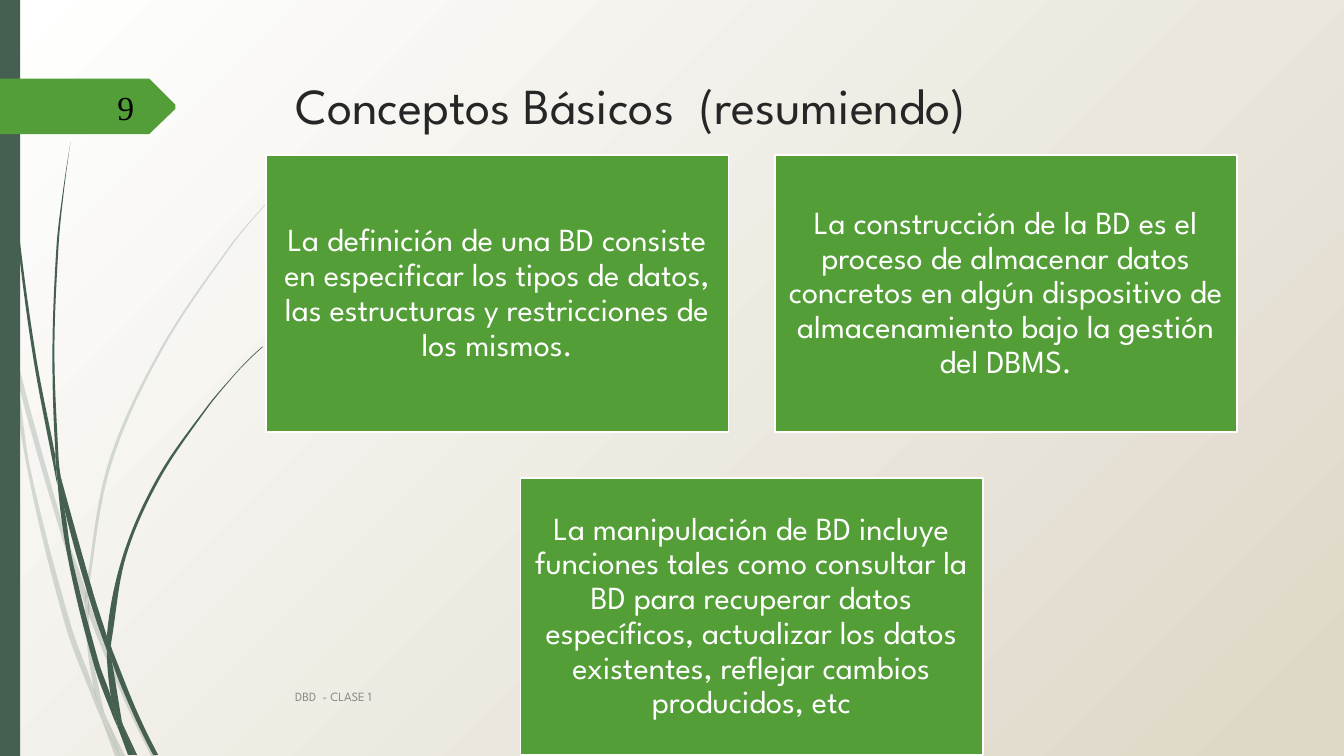
from lxml.etree import SubElement
from pptx import Presentation
from pptx.dml.color import RGBColor
from pptx.enum.shapes import MSO_SHAPE
from pptx.enum.text import MSO_ANCHOR, PP_ALIGN
from pptx.oxml.ns import qn
from pptx.util import Inches, Pt

COLORS = {
    "white": "FFFFFF", "sand": "DDD7C7", "pine": "455F51", "arrow": "549E39",
    "card": "539E36", "title": "262626", "foot": "888888", "black": "000000",
}
SANS = "League Spartan"
SERIF = "Times New Roman"

PALE = [
    "0.11,3.5 0.09,3.22 0,2.82 0,2.99 0.1,3.44",
    "0.58,5.22 0.84,5.99 0.85,5.86 0.62,5.2 0.14,3.45 0.17,3.76",
    "0.92,6.07 0.88,5.96 0.88,6.1 1.23,6.94 1.5,7.5 1.55,7.5 1.27,6.92",
    "1.19,7.5 1.24,7.5 1.05,7.11",
    "0.93,6.83 0.7,6.19 0.31,4.69 0.17,3.76 0.11,3.5 0.28,4.7 0.65,6.21 0.92,6.93 1.01,7.14 0.99,7.07",
    "0.84,5.99 0.87,6.46 0.93,6.83 0.96,6.92 1.05,7.11 1.03,7.06 0.91,6.46 0.88,6.1 0.88,6.08",
    "0.88,5.84 1.1,4.62 1.6,3.49 2.29,2.45 2.68,1.98 2.9,1.75 3.12,1.54 3.12,1.53 2.89,1.75 "
    "2.68,1.97 2.28,2.44 1.58,3.48 1.07,4.61 0.85,5.84 0.85,5.86 0.88,5.96",
    "1.01,7.14 1.14,7.5 1.19,7.5",
    "0.88,6.08 0.88,6.1 0.88,5.96 0.85,5.86 0.84,5.99",
    "0.96,6.92 0.93,6.83 0.99,7.07 1.01,7.14 1.19,7.5 1.05,7.11",
]
DARK = [
    "0.07,1.1 0.17,2.33 0.33,3.55 0.56,4.77 0.57,4.81 0.55,4.57 0.55,4.53 0.36,3.55 0.19,2.32 "
    "0.08,1.09 0.05,0.48 0.04,0 0.03,0 0.04,0.48",
    "0.88,5.92 1.06,6.45 1.06,6.33 1.06,6.31 0.93,5.9 0.6,4.72 0.64,5.05",
    "1.13,6.49 1.1,6.41 1.11,6.56 1.32,7.08 1.52,7.49 1.57,7.49 1.36,7.06",
    "1.1,6.91 0.98,6.57 0.72,5.56 0.64,5.05 0.57,4.77 0.68,5.57 0.93,6.59 1.11,7.08 1.17,7.22 1.16,7.17",
    "0.6,4.72 0.58,4.53 0.54,3.49 0.58,2.45 0.63,1.93 0.7,1.41 0.62,1.93 0.56,2.45 0.52,3.49 0.55,4.49",
    "1.33,7.49 1.36,7.49 1.22,7.19",
    "0.57,4.77 0.64,5.05 0.6,4.72 0.55,4.49 0.55,4.53",
    "1.11,6.33 1.25,5.52 1.58,4.76 2.05,4.06 2.31,3.74 2.45,3.59 2.61,3.44 2.6,3.44 2.45,3.58 "
    "2.31,3.73 2.04,4.05 1.56,4.74 1.22,5.51 1.06,6.31 1.1,6.41",
    "1.17,7.22 1.27,7.49 1.31,7.49",
    "1.06,6.45 1.1,6.91 1.16,7.06 1.22,7.19 1.21,7.16 1.11,6.56 1.09,6.51",
    "1.06,6.45 1.09,6.51 1.11,6.56 1.1,6.41 1.06,6.31 1.06,6.33",
    "1.16,7.06 1.1,6.91 1.16,7.17 1.17,7.22 1.3,7.49 1.33,7.49 1.22,7.19",
]
TAG = "0,0 1.48,0 1.74,0.26 1.74,0.3 1.48,0.55 0,0.55"
CARDS = [
    "La definición de una BD consiste en especificar los tipos de datos, las estructuras "
    "y restricciones de los mismos.",
    "La construcción de la BD es el proceso de almacenar datos concretos en algún dispositivo "
    "de almacenamiento bajo la gestión del DBMS.",
    "La manipulación de BD incluye funciones tales como consultar la BD para recuperar datos "
    "específicos, actualizar los datos existentes, reflejar cambios producidos, etc",
]


def color(name):
    return RGBColor.from_string(COLORS[name])


def apply(item, values):
    for key, value in values.items():
        setattr(item, key, value)


def paint(shape, name, edge=None):
    shape.shadow.inherit = False
    shape.fill.solid()
    shape.fill.fore_color.rgb = color(name)
    if edge:
        shape.line.color.rgb = color(edge)
        shape.line.width = Pt(1.25)
    else:
        shape.line.fill.background()


def write(shape, text, size, tint, font=SANS, align=PP_ALIGN.LEFT,
          anchor=MSO_ANCHOR.MIDDLE, pad=0.05, space=1.0):
    frame = shape.text_frame
    apply(frame, {"word_wrap": True, "vertical_anchor": anchor,
                  "margin_left": Inches(0.1), "margin_right": Inches(0.1),
                  "margin_top": Inches(pad), "margin_bottom": Inches(pad)})
    para = frame.paragraphs[0]
    apply(para, {"alignment": align, "line_spacing": space})
    run = para.add_run()
    run.text = text
    apply(run.font, {"name": font, "size": Pt(size)})
    run.font.color.rgb = color(tint)


def label(slide, box, text, size, tint, **extra):
    shape = slide.shapes.add_textbox(*map(Inches, box))
    write(shape, text, size, tint, **extra)


def bends(knots):
    count = len(knots)
    chords = [knots[(i + 1) % count] - knots[i] for i in range(count)]
    units = [chord / abs(chord) for chord in chords]
    slopes = []
    for i in range(count):
        smooth = (units[i - 1] * units[i].conjugate()).real > 0.9
        total = chords[i - 1] + chords[i]
        slopes.append(total / abs(total) if smooth else None)
    for i, unit in enumerate(units):
        end = (i + 1) % count
        first, last = slopes[i], slopes[end]
        start = first or (unit ** 2 * last.conjugate() if last else unit)
        stop = last or (unit ** 2 * first.conjugate() if first else unit)
        third = abs(chords[i]) / 3
        yield knots[i] + start * third, knots[end] - stop * third, knots[end]


def soften(shape, knots):
    corner = complex(min(p.real for p in knots), min(p.imag for p in knots))
    track = shape.element.find(".//" + qn("a:path"))
    for line, bend in zip(track.findall(qn("a:lnTo")), bends(knots)):
        cubic = track.makeelement(qn("a:cubicBezTo"), {})
        for point in bend:
            spot = point - corner
            SubElement(cubic, qn("a:pt"), {"x": str(Inches(spot.real)),
                                           "y": str(Inches(spot.imag))})
        track.replace(line, cubic)


def outline(shapes, data, left, top, tint):
    knots = [complex(*map(float, pair.split(","))) + complex(left, top)
             for pair in data.split()]
    points = [(Inches(p.real), Inches(p.imag)) for p in knots]
    pen = shapes.build_freeform(*points[0])
    pen.add_line_segments(points[1:] + points[:1], close=True)
    shape = pen.convert_to_shape()
    paint(shape, tint)
    return shape, knots


def backdrop(slide):
    fill = slide.background.fill
    fill.gradient()
    for stop, name, place in zip(fill.gradient_stops, ("white", "sand"), (0, 1)):
        stop.color.rgb = color(name)
        stop.position = place
    grad = slide.element.find(".//" + qn("a:gradFill"))
    grad.remove(grad.find(qn("a:lin")))
    ring = SubElement(grad, qn("a:path"), {"path": "circle"})
    SubElement(ring, qn("a:fillToRect"), {"r": "100000", "b": "100000"})


def stalks(slide, left, top, parts, alpha=None):
    group = slide.shapes.add_group_shape()
    for part in parts:
        shape, knots = outline(group.shapes, part, left, top, "pine")
        soften(shape, knots)
        if alpha:
            tone = shape.element.find(".//" + qn("a:srgbClr"))
            SubElement(tone, qn("a:alpha"), {"val": str(alpha * 1000)})


def band(slide, left, top, width, height):
    strip = slide.shapes.add_shape(
        MSO_SHAPE.RECTANGLE, *map(Inches, (left, top, width, height)))
    paint(strip, "pine")
    outline(slide.shapes, TAG, left, top + 0.78, "arrow")


def cards(slide, left, top, width, height, gap=0.46):
    wide, high = (width - gap) / 2, (height - gap) / 2
    spots = [(0, 0), (wide + gap, 0), ((wide + gap) / 2, high + gap)]
    group = slide.shapes.add_group_shape()
    for (x, y), text in zip(spots, CARDS):
        card = group.shapes.add_shape(
            MSO_SHAPE.RECTANGLE, *map(Inches, (left + x, top + y, wide, high)))
        paint(card, "card", "white")
        write(card, text, 23, "white", align=PP_ALIGN.CENTER, pad=0.1, space=0.9)


def main():
    deck = Presentation()
    apply(deck, {"slide_width": Inches(13.33), "slide_height": Inches(7.5)})
    slide = deck.slides.add_slide(deck.slide_layouts[6])
    backdrop(slide)
    stalks(slide, 0, 0, PALE, 20)
    stalks(slide, 0, 0, DARK)
    band(slide, 0, 0, 0.2, 7.5)
    label(slide, (2.83, 0.69, 9.75, 1.4), "Conceptos Básicos  (resumiendo)", 36, "title",
          anchor=MSO_ANCHOR.TOP)
    cards(slide, 2.64, 1.54, 9.63, 5.95)
    label(slide, (2.83, 6.71, 8.33, 0.4), "DBD  - CLASE 1", 9, "foot")
    label(slide, (0.58, 0.86, 0.85, 0.4), "9", 24, "black", font=SERIF, align=PP_ALIGN.RIGHT)
    deck.save("out.pptx")


if __name__ == "__main__":
    main()
